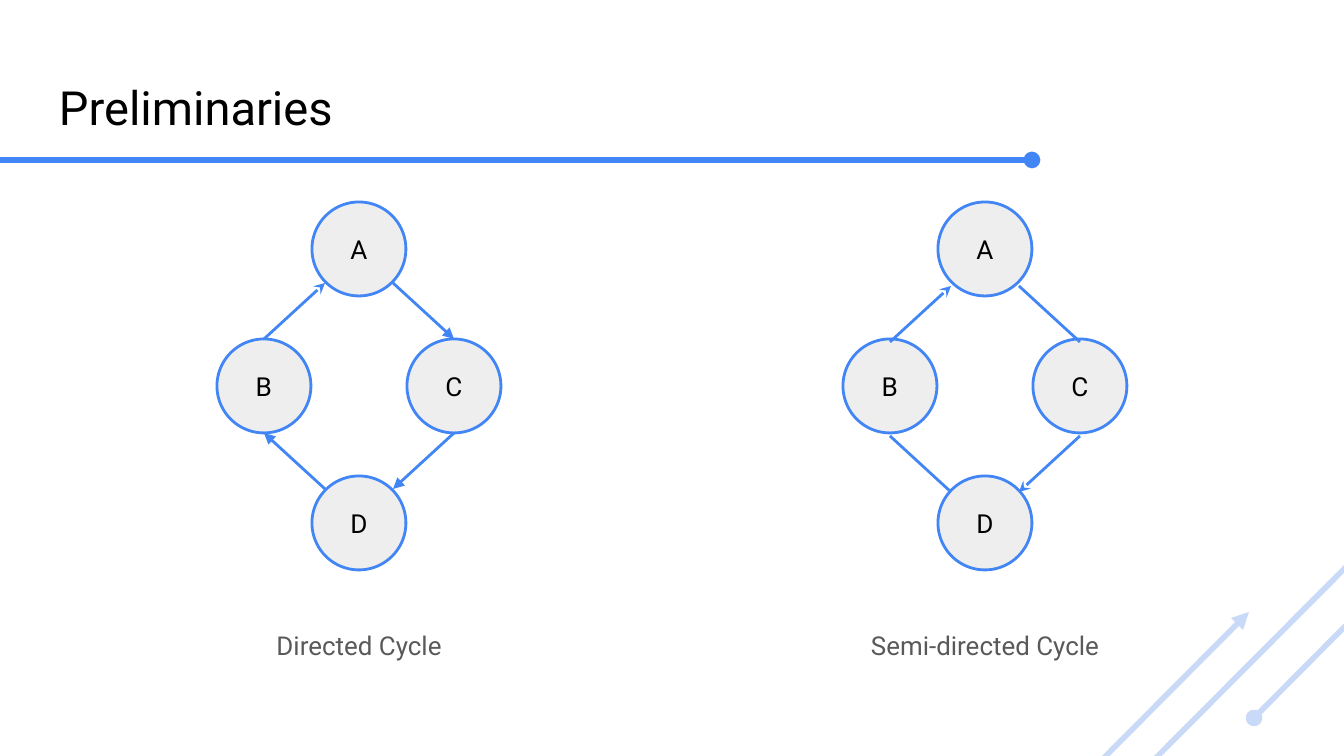
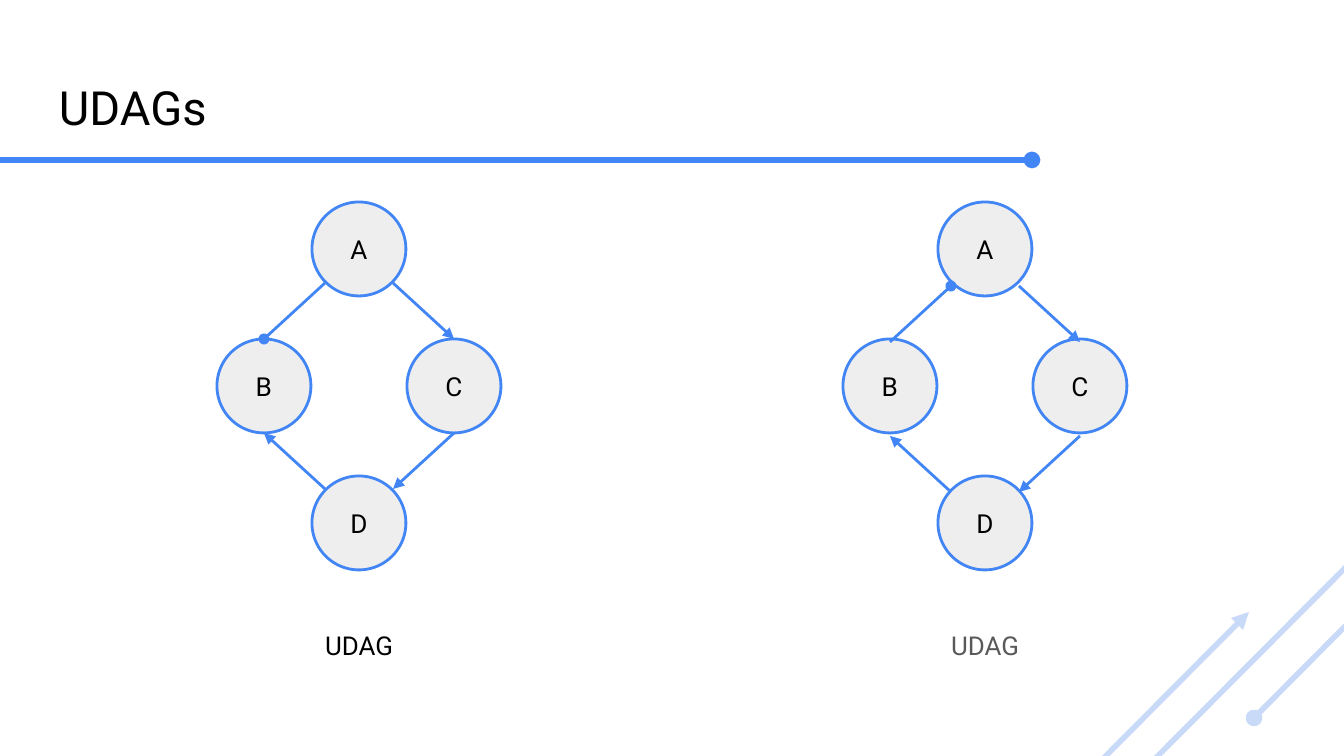
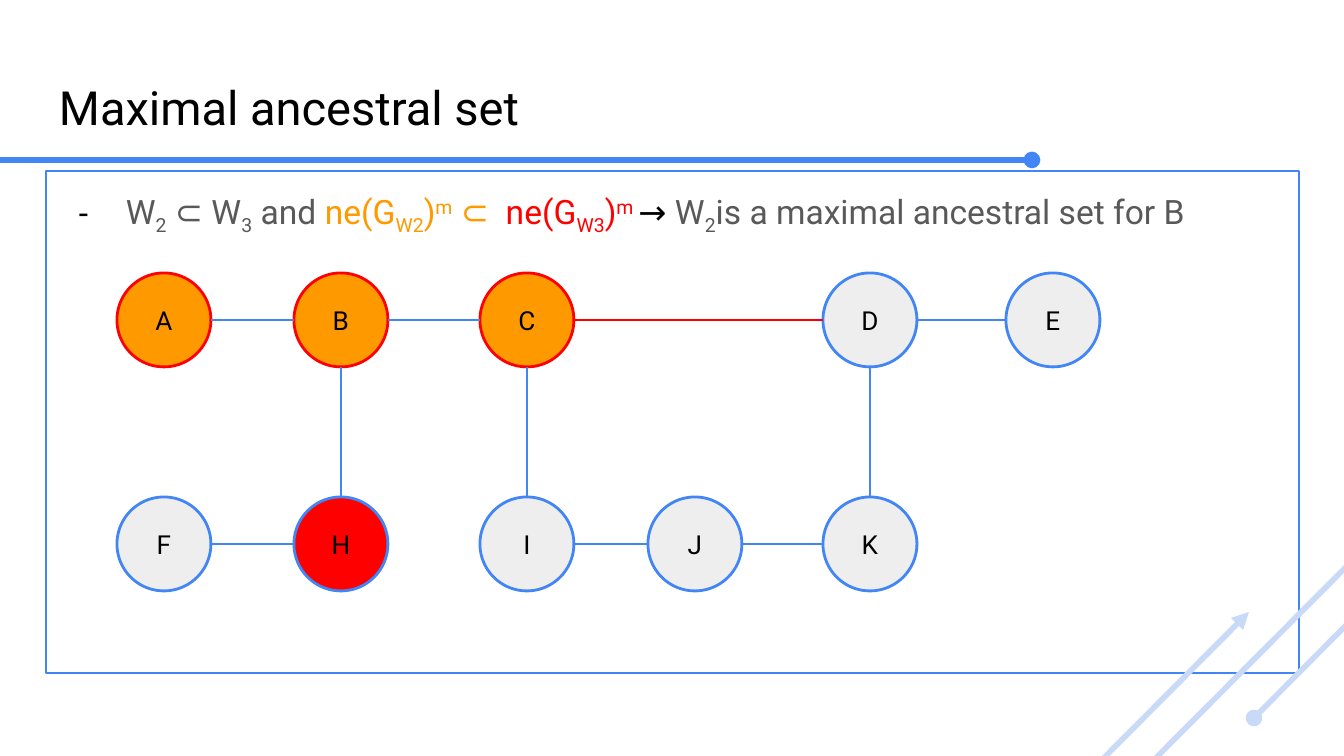
from lxml import etree
from pptx import Presentation
from pptx.dml.color import RGBColor
from pptx.enum.shapes import MSO_CONNECTOR, MSO_SHAPE
from pptx.enum.text import MSO_ANCHOR, PP_ALIGN
from pptx.oxml.ns import qn
from pptx.util import Pt

WIDTH, HEIGHT = 1344, 756
EMU_PER_PX = 9144000 / WIDTH

BLACK = RGBColor(0x00, 0x00, 0x00)
GRAY = RGBColor(0x59, 0x59, 0x59)
BLUE = RGBColor(0x42, 0x85, 0xF4)
PALE_BLUE = RGBColor(0xC9, 0xDA, 0xF8)
LIGHT = RGBColor(0xEE, 0xEE, 0xEE)
ORANGE = RGBColor(0xFF, 0x99, 0x00)
RED = RGBColor(0xFF, 0x00, 0x00)

STRAIGHT = MSO_CONNECTOR.STRAIGHT
OVAL, RECTANGLE = MSO_SHAPE.OVAL, MSO_SHAPE.RECTANGLE
LEFT, CENTER = PP_ALIGN.LEFT, PP_ALIGN.CENTER
TOP, MIDDLE = MSO_ANCHOR.TOP, MSO_ANCHOR.MIDDLE

FONT = "Roboto"
MARGIN, CONTENT_WIDTH, INSET = 46, 1253, 13
RADIUS = 47
SUB, SUPER = -25000, 30000

# Edges of each cycle: (end at first node, end at second node)
DIRECTED = {"AB": ("stealth", None), "AC": (None, "triangle"),
            "BD": ("triangle", None), "CD": (None, "triangle")}
SEMI_DIRECTED = {"AB": ("stealth", None), "AC": (None, None),
                 "BD": (None, None), "CD": (None, "stealth")}
UDAG_LEFT = {**DIRECTED, "AB": (None, "oval")}
UDAG_RIGHT = {**DIRECTED, "AB": ("oval", None)}

ANCESTRAL_RULE = [
    ("W", GRAY, 0), ("2", GRAY, SUB), (" ⊂ W", GRAY, 0), ("3", GRAY, SUB),
    (" and ", GRAY, 0),
    ("ne(G", ORANGE, 0), ("W2", ORANGE, SUB), (")", ORANGE, 0),
    ("m", ORANGE, SUPER), (" ⊂ ", ORANGE, 0),
    (" ne(G", RED, 0), ("W3", RED, SUB), (")", RED, 0), ("m ", RED, SUPER),
    ("→ ", BLACK, 0),
    ("W", GRAY, 0), ("2", GRAY, SUB),
    ("is a maximal ancestral set for B", GRAY, 0),
]


def px(length):
    return round(length * EMU_PER_PX)


class Deck:
    def __init__(self):
        self.presentation = Presentation()
        self.presentation.slide_width = px(WIDTH)
        self.presentation.slide_height = px(HEIGHT)
        self.slide = None

    def new_slide(self, title):
        blank = self.presentation.slide_layouts[6]
        self.slide = self.presentation.slides.add_slide(blank)
        self.text(title, MARGIN, 66, CONTENT_WIDTH, 84, 25.2)

    def decorate(self):
        """Draw the title rule and the diagonal lines in the corner."""
        self.line((-11, 160), (1032, 160), BLUE, 3, tail="oval")
        self.line((1254, 718), (1400, 571), PALE_BLUE, 3, head="oval")
        self.line((1121, 793), (1353, 560), PALE_BLUE, 3)
        self.line((1249, 612), (1081, 781), PALE_BLUE, 3, head="triangle")

    def set_frame(self, frame, anchor=TOP):
        frame.word_wrap = True
        frame.vertical_anchor = anchor
        frame.margin_left = frame.margin_right = px(INSET)
        frame.margin_top = frame.margin_bottom = px(INSET)

    def set_font(self, run, size, color):
        run.font.name = FONT
        run.font.size = Pt(size)
        run.font.color.rgb = color

    def text(self, words, left, top, width, height, size, color=BLACK, align=LEFT):
        box = self.slide.shapes.add_textbox(px(left), px(top), px(width), px(height))
        self.set_frame(box.text_frame)
        box.text_frame.text = words
        paragraph = box.text_frame.paragraphs[0]
        paragraph.alignment = align
        self.set_font(paragraph.runs[0], size, color)
        return paragraph

    def caption(self, words, left, color):
        paragraph = self.text(words, left, 612, CONTENT_WIDTH / 2, 59, 13.9, color, CENTER)
        paragraph.line_spacing = 1.15

    def line(self, start, end, color=BLUE, width=1.5, head=None, tail=None):
        line = self.slide.shapes.add_connector(STRAIGHT, *map(px, start + end))
        line.line.color.rgb = color
        line.line.width = Pt(width)
        properties = line.element.spPr
        outline = properties.find(qn("a:ln"))
        for tag, kind in (("a:headEnd", head), ("a:tailEnd", tail)):
            if kind:
                etree.SubElement(outline, qn(tag), type=kind)
        etree.SubElement(properties, qn("a:effectLst"))

    def node(self, letter, center, fill=LIGHT, outline=BLUE):
        x, y = center
        circle = self.slide.shapes.add_shape(
            OVAL, px(x - RADIUS), px(y - RADIUS), px(2 * RADIUS), px(2 * RADIUS))
        circle.shadow.inherit = False
        circle.fill.solid()
        circle.fill.fore_color.rgb = fill
        circle.line.color.rgb = outline
        circle.line.width = Pt(1.5)
        self.set_frame(circle.text_frame, MIDDLE)
        circle.text_frame.text = letter
        paragraph = circle.text_frame.paragraphs[0]
        paragraph.alignment = CENTER
        self.set_font(paragraph.runs[0], 14, BLACK)

    def link(self, first, second, color=BLUE):
        """Join two nodes of one row or one column, rim to rim."""
        (x1, y1), (x2, y2) = first, second
        if y1 == y2:
            self.line((x1 + RADIUS, y1), (x2 - RADIUS, y2), color)
        else:
            self.line((x1, y1 + RADIUS), (x2, y2 - RADIUS), color)

    def cycle(self, center_x, ends, drop=0):
        """Draw a diamond of four nodes; drop lowers its edges."""
        middle_y, reach_x, reach_y, rim = 386, 95, 137, 34
        top_y, bottom_y = middle_y - reach_y, middle_y + reach_y
        for letter, x, y in (("A", 0, -reach_y), ("B", -reach_x, 0),
                             ("C", reach_x, 0), ("D", 0, reach_y)):
            self.node(letter, (center_x + x, middle_y + y))
        for side, upper, lower in ((-1, "AB", "BD"), (1, "AC", "CD")):
            inner, outer = center_x + side * rim, center_x + side * reach_x
            self.line((inner, top_y + rim + drop),
                      (outer, middle_y - RADIUS + drop),
                      head=ends[upper][0], tail=ends[upper][1])
            self.line((outer, middle_y + RADIUS + drop),
                      (inner, bottom_y - rim + drop),
                      head=ends[lower][0], tail=ends[lower][1])

    def framed_bullet(self, pieces, left, top, width, height):
        """Draw an outlined box with one dash item of (text, color, baseline) pieces."""
        box = self.slide.shapes.add_shape(
            RECTANGLE, px(left), px(top), px(width), px(height))
        box.shadow.inherit = False
        box.fill.background()
        box.line.color.rgb = BLUE
        box.line.width = Pt(0.75)
        self.set_frame(box.text_frame)
        paragraph = box.text_frame.paragraphs[0]
        properties = paragraph._p.get_or_add_pPr()
        properties.set("marL", str(px(67)))
        properties.set("indent", str(-px(47)))
        bullet_color = etree.SubElement(properties, qn("a:buClr"))
        etree.SubElement(bullet_color, qn("a:srgbClr"), val=str(BLACK))
        etree.SubElement(properties, qn("a:buFont"), typeface=FONT)
        etree.SubElement(properties, qn("a:buChar"), char="-")
        paragraph.alignment = LEFT
        paragraph.line_spacing = 1.15
        for words, color, baseline in pieces:
            run = paragraph.add_run()
            run.text = words
            self.set_font(run, 18, color)
            if baseline:
                run.font._element.set("baseline", str(baseline))


def add_cycle_slide(deck, title, cycles):
    deck.new_slide(title)
    for column, (caption, color, _) in enumerate(cycles):
        deck.caption(caption, MARGIN + 626 * column, color)
    deck.decorate()
    for column, (_, _, ends) in enumerate(cycles):
        deck.cycle(359 + 626 * column, ends, drop=3 * column)


def add_ancestral_slide(deck):
    deck.new_slide("Maximal ancestral set")
    deck.framed_bullet(ANCESTRAL_RULE, MARGIN, 171, CONTENT_WIDTH, 502)
    deck.decorate()
    rows = {320: {"A": 164, "B": 341, "C": 527, "D": 870, "E": 1053},
            544: {"F": 164, "H": 341, "I": 527, "J": 695, "K": 870}}
    centers = {letter: (x, y) for y, row in rows.items() for letter, x in row.items()}
    styles = dict.fromkeys("ABC", (ORANGE, RED)) | {"H": (RED, BLUE)}
    for letter, center in centers.items():
        deck.node(letter, center, *styles.get(letter, (LIGHT, BLUE)))
    for first, second in ("AB", "BC", "DE", "FH", "IJ", "JK", "BH", "CI", "DK"):
        deck.link(centers[first], centers[second])
    deck.link(centers["C"], centers["D"], RED)


def main():
    deck = Deck()
    add_cycle_slide(deck, "Preliminaries", [
        ("Directed Cycle", GRAY, DIRECTED),
        ("Semi-directed Cycle", GRAY, SEMI_DIRECTED)])
    add_cycle_slide(deck, "UDAGs", [
        ("UDAG", BLACK, UDAG_LEFT),
        ("UDAG", GRAY, UDAG_RIGHT)])
    add_ancestral_slide(deck)
    deck.presentation.save("out.pptx")


if __name__ == "__main__":
    main()
